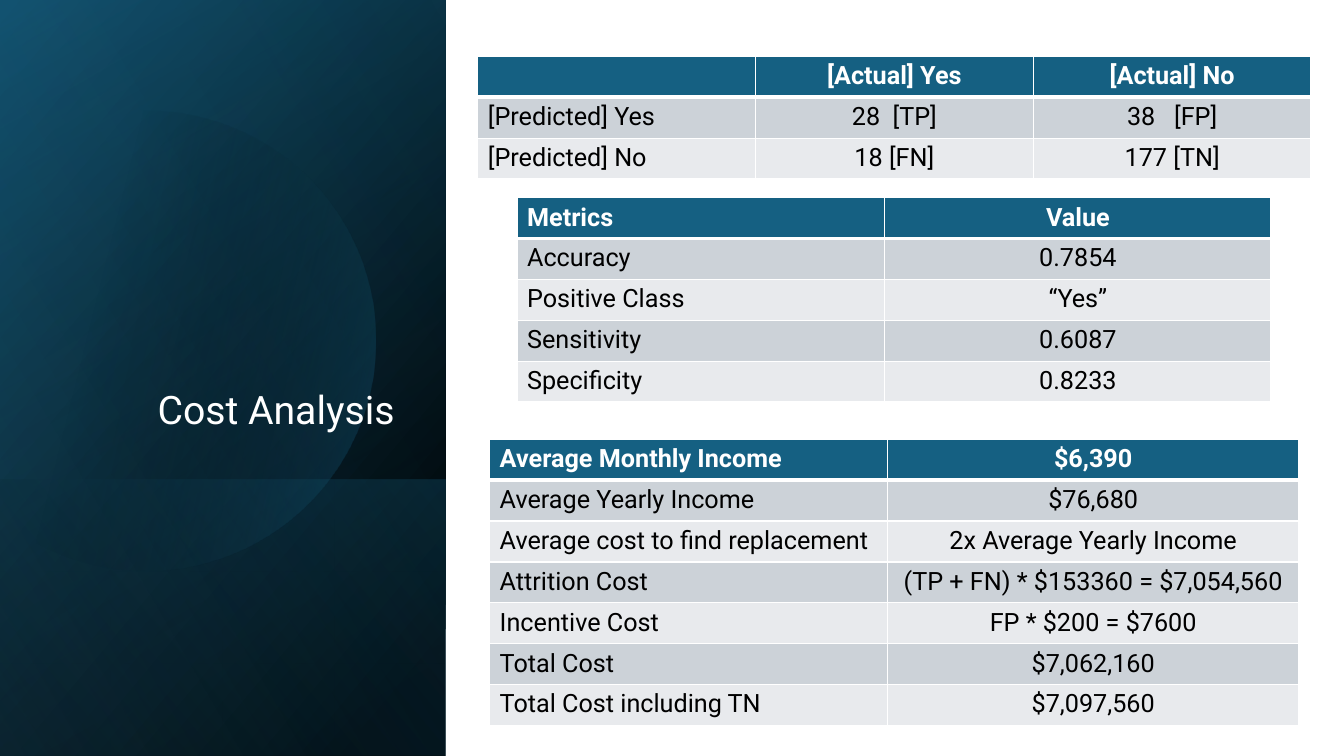
import math

import pptx
import pptx.dml.color
import pptx.enum.shapes
import pptx.enum.text
import pptx.oxml.ns
import pptx.util
from lxml import etree

Cm = pptx.util.Cm
Pt = pptx.util.Pt
qn = pptx.oxml.ns.qn
ALIGN = pptx.enum.text.PP_ALIGN

SLIDE_WIDTH, SLIDE_HEIGHT = 33.87, 19.05
PANEL_WIDTH = 11.23
ROW_HEIGHT = 1.03
BLUE, WHITE, BLACK = "156082", "FFFFFF", "000000"
BANDS = ("CCD2D8", "E8EAED")

CONFUSION_ROWS = [
    ("", "[Actual] Yes", "[Actual] No"),
    ("[Predicted] Yes", "28  [TP]", "38   [FP]"),
    ("[Predicted] No", "18 [FN]", "177 [TN]"),
]
METRIC_ROWS = [
    ("Metrics", "Value"),
    ("Accuracy", "0.7854"),
    ("Positive Class", "“Yes”"),
    ("Sensitivity", "0.6087"),
    ("Specificity", "0.8233"),
]
COST_ROWS = [
    ("Average Monthly Income", "$6,390"),
    ("Average Yearly Income", "$76,680"),
    ("Average cost to find replacement", "2x Average Yearly Income"),
    ("Attrition Cost", "(TP + FN) * $153360 = $7,054,560"),
    ("Incentive Cost", "FP * $200 = $7600"),
    ("Total Cost", "$7,062,160"),
    ("Total Cost including TN", "$7,097,560"),
]


def color(hex_string):
    return pptx.dml.color.RGBColor.from_string(hex_string)


def format_paragraph(paragraph, text, align, size, hex_string, bold=False):
    paragraph.text = text
    paragraph.alignment = align
    font = paragraph.font if not text else paragraph.runs[0].font
    for name, value in {"name": "Roboto", "size": Pt(size), "bold": bold}.items():
        setattr(font, name, value)
    font.color.rgb = color(hex_string)


def fill_gradient(shape, stops, angle):
    """Stops are (position, colour, opacity), all numbers in percent."""
    shape.shadow.inherit = False
    shape.line.fill.background()
    shape.fill.gradient()
    shape.fill.gradient_angle = (360 - angle) % 360
    stop_list = shape._element.spPr.find(qn("a:gradFill")).find(qn("a:gsLst"))
    for old_stop in list(stop_list):
        stop_list.remove(old_stop)
    for position, hex_string, opacity in stops:
        stop = etree.SubElement(stop_list, qn("a:gs"), pos=str(position * 1000))
        stop_color = etree.SubElement(stop, qn("a:srgbClr"), val=hex_string)
        etree.SubElement(stop_color, qn("a:alpha"), val=str(opacity * 1000))


def add_turned_layer(slide, box, stops, angle):
    """Cover the box with a mirrored rectangle turned by a quarter."""
    left, top, width, height = box
    shift = (width - height) / 2
    layer = slide.shapes.add_shape(
        pptx.enum.shapes.MSO_SHAPE.RECTANGLE,
        Cm(left + shift), Cm(top - shift), Cm(height), Cm(width))
    layer.rotation = 90
    layer._element.spPr.find(qn("a:xfrm")).set("flipH", "1")
    fill_gradient(layer, stops, angle)


def add_cut_circle(slide, box, center_x, center_y, radius):
    """Draw a circle that is cut off by the left side of the box."""
    left, top = box[:2]
    limit = math.acos(-center_x / radius)
    steps = 90
    points = []
    for step in range(steps + 1):
        angle = limit * (2 * step / steps - 1)
        points.append((Cm(left + center_x + radius * math.cos(angle)),
                       Cm(top + center_y + radius * math.sin(angle))))
    builder = slide.shapes.build_freeform(*points[0])
    builder.add_line_segments(points[1:], close=True)
    fill_gradient(builder.convert_to_shape(),
                  [(29, BLACK, 0), (100, BLUE, 43)], 14)


def add_title_panel(slide, box, title):
    left, top, width, height = box
    # Layered gradients
    add_turned_layer(slide, box, [(8, BLACK, 100), (100, "104862", 100)], 50)
    add_turned_layer(slide, box, [(0, BLACK, 0), (99, BLUE, 46)], 30)
    foot_height = 6.96
    foot = (left, top + height - foot_height, width, foot_height)
    add_turned_layer(slide, foot, [(2, BLUE, 29), (100, BLACK, 30)], 130)
    add_cut_circle(slide, box, 3.68, 8.59, 5.79)
    add_turned_layer(slide, box, [(0, BLACK, 0), (99, "46B1E1", 11)], 120)

    # Title
    text_box = slide.shapes.add_textbox(
        Cm(left + 1.3), Cm(top + 1.63), Cm(8.89), Cm(9.4))
    frame = text_box.text_frame
    frame.word_wrap = True
    frame.vertical_anchor = pptx.enum.text.MSO_ANCHOR.BOTTOM
    format_paragraph(frame.paragraphs[0], title, ALIGN.RIGHT, 28, WHITE)
    frame.paragraphs[0].line_spacing = 0.9


def set_borders(cell, widths):
    properties = cell._tc.get_or_add_tcPr()
    for index, (side, width) in enumerate(widths.items()):
        line = etree.Element(qn(f"a:ln{side}"), w=str(Pt(width)))
        fill = etree.SubElement(line, qn("a:solidFill"))
        etree.SubElement(fill, qn("a:srgbClr"), val=WHITE)
        properties.insert(index, line)


def add_banded_table(slide, left, top, column_widths, rows):
    table = slide.shapes.add_table(
        len(rows), len(column_widths), Cm(left), Cm(top),
        Cm(sum(column_widths)), Cm(ROW_HEIGHT * len(rows))).table
    for column, width in zip(table.columns, column_widths):
        column.width = Cm(width)
    for row_index, texts in enumerate(rows):
        table.rows[row_index].height = Cm(ROW_HEIGHT)
        header = row_index == 0
        for column_index, text in enumerate(texts):
            cell = table.cell(row_index, column_index)
            cell.fill.solid()
            cell.fill.fore_color.rgb = color(
                BLUE if header else BANDS[(row_index - 1) % 2])
            set_borders(cell, {"L": 1, "R": 1,
                               "T": 3 if row_index == 1 else 1,
                               "B": 3 if header else 1})
            format_paragraph(
                cell.text_frame.paragraphs[0], text,
                ALIGN.CENTER if column_index else ALIGN.LEFT,
                18, WHITE if header else BLACK, header)


def add_tables(slide, box):
    left, top = box[:2]
    add_banded_table(slide, left + 0.81, top + 1.42, [7, 7, 7], CONFUSION_ROWS)
    add_banded_table(slide, left + 1.8, top + 4.98, [9.27, 9.73], METRIC_ROWS)
    add_banded_table(slide, left + 1.11, top + 11.07, [10.03, 10.36], COST_ROWS)


def main():
    presentation = pptx.Presentation()
    presentation.slide_width = Cm(SLIDE_WIDTH)
    presentation.slide_height = Cm(SLIDE_HEIGHT)
    slide = presentation.slides.add_slide(presentation.slide_layouts[6])
    slide.background.fill.solid()
    slide.background.fill.fore_color.rgb = color(WHITE)

    add_title_panel(slide, (0, 0, PANEL_WIDTH, SLIDE_HEIGHT), "Cost Analysis")
    add_tables(slide, (PANEL_WIDTH, 0, SLIDE_WIDTH - PANEL_WIDTH, SLIDE_HEIGHT))
    presentation.save("out.pptx")


if __name__ == "__main__":
    main()
